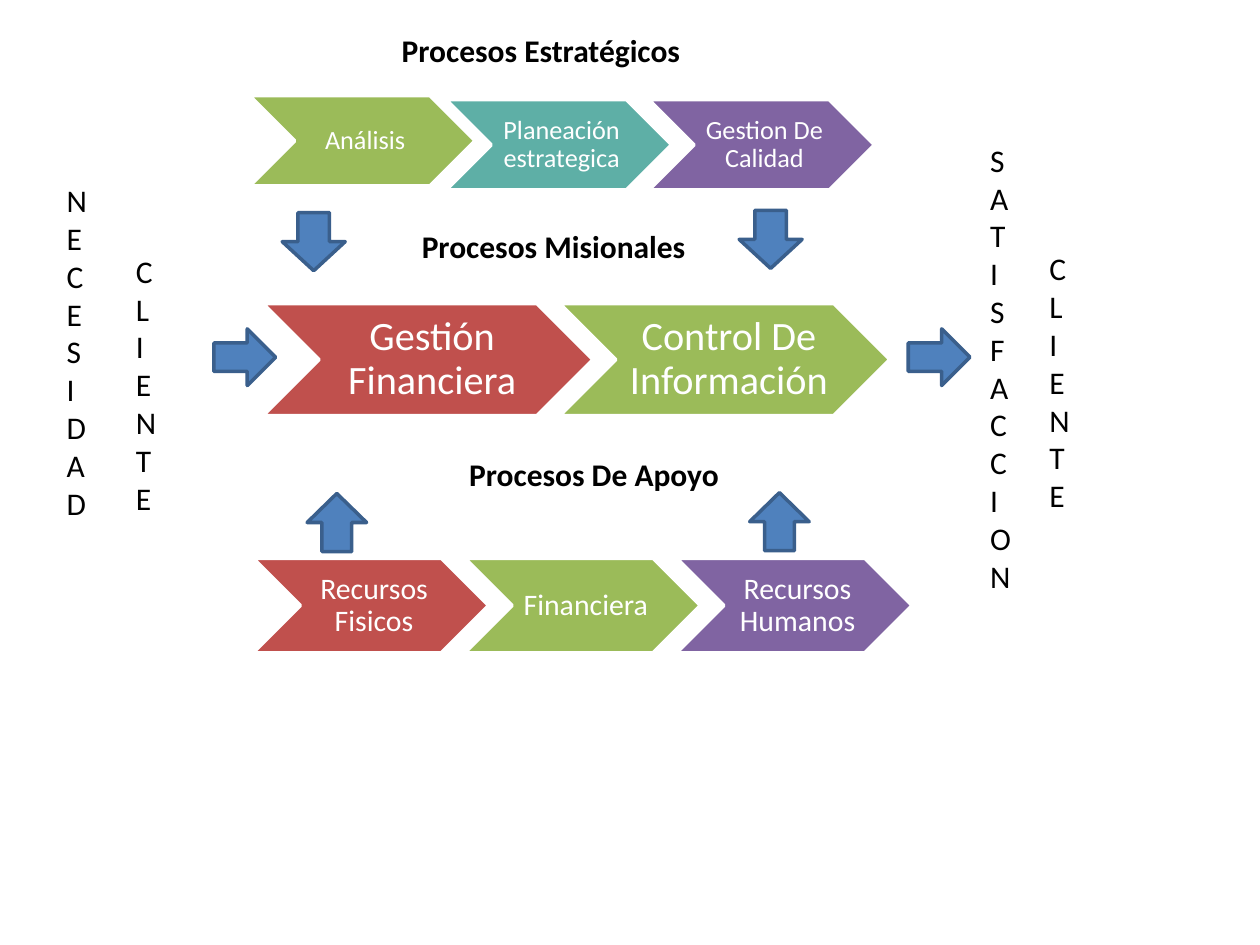
from dataclasses import dataclass

from pptx import Presentation
from pptx.dml.color import RGBColor
from pptx.enum.shapes import MSO_SHAPE as Shape
from pptx.enum.text import MSO_ANCHOR as Anchor, PP_ALIGN as Align
from pptx.util import Pt


@dataclass(frozen=True)
class Theme:
    font: str = "Calibri"
    white: str = "FFFFFF"
    black: str = "000000"
    red: str = "C0504D"
    green: str = "9BBB59"
    teal: str = "5EAFA6"
    purple: str = "8064A2"
    arrow: str = "4F81BD"
    arrow_edge: str = "3A5F8C"
    body: int = 18
    strategic: int = 15
    mission: int = 23
    support: int = 17


class ProcessMap:
    def __init__(self, page, theme):
        self.page = page
        self.theme = theme

    def shape(self, parent, kind, area, fill, edge, weight=2):
        item = parent.shapes.add_shape(kind, *map(Pt, area))
        item.shadow.inherit = False
        item.fill.solid()
        item.fill.fore_color.rgb = RGBColor.from_string(fill)
        item.line.color.rgb = RGBColor.from_string(edge)
        item.line.width = Pt(weight)
        return item

    def set_text(self, box, lines, size, color, bold=False, align=Align.LEFT,
                 spacing=None, after=None):
        frame = box.text_frame
        frame.word_wrap = True
        frame.vertical_anchor = Anchor.TOP
        frame.text = "\n".join(lines)
        for para in frame.paragraphs:
            para.alignment = align
            para.line_spacing = spacing
            para.space_after = after
            para.font.name = self.theme.font
            para.font.size = Pt(size)
            para.font.bold = bold
            para.font.color.rgb = RGBColor.from_string(color)
        return frame

    def text(self, area, lines, bold=False):
        box = self.page.shapes.add_textbox(*map(Pt, area))
        self.set_text(box, lines, self.theme.body, self.theme.black, bold)

    def heading(self, area, label):
        box = self.shape(self.page, Shape.RECTANGLE, area,
                         self.theme.white, self.theme.white, 0.75)
        self.set_text(box, [label], self.theme.body, self.theme.black, True,
                      Align.CENTER, 1.07, Pt(8))

    def arrow(self, kind, area):
        self.shape(self.page, kind, area, self.theme.arrow, self.theme.arrow_edge)

    def chevrons(self, width, height, size, steps):
        group = self.page.shapes.add_group_shape()
        for left, top, label, fill in steps:
            self.shape(group, Shape.CHEVRON, (left, top, width, height),
                       fill, self.theme.white)
            # The label sits between the notch and the point
            area = (left + height / 2, top, width - height, height)
            box = group.shapes.add_textbox(*map(Pt, area))
            frame = self.set_text(box, [label], size, self.theme.white,
                                  align=Align.CENTER, spacing=0.9)
            frame.vertical_anchor = Anchor.MIDDLE
            frame.margin_left = Pt(size * 0.31)
            frame.margin_right = frame.margin_top = frame.margin_bottom = Pt(size * 0.1)


theme = Theme()
deck = Presentation()
deck.slide_width, deck.slide_height = Pt(720), Pt(540)
chart = ProcessMap(deck.slides.add_slide(deck.slide_layouts[6]), theme)

# Strategic processes
chart.chevrons(128.9, 51.6, theme.strategic, [
    (142.6, 54.7, "Análisis", theme.green),
    (254.9, 57, "Planeación estrategica", theme.teal),
    (370.8, 57, "Gestion De Calidad", theme.purple),
])
chart.arrow(Shape.DOWN_ARROW, (161.3, 121.5, 36, 33.2))

# Mission processes
mission = [("Gestión Financiera", theme.red), ("Control De Información", theme.green)]
chart.chevrons(188.6, 64, theme.mission, [
    (150.3 + 169.6 * i, 173.5, *step) for i, step in enumerate(mission)
])
chart.arrow(Shape.DOWN_ARROW, (422.4, 120.2, 36, 33.2))

# Headings
chart.heading((216.7, 124.6, 199.4, 31), "Procesos Misionales")
chart.text((222.5, 14.4, 199.4, 51), ["Procesos Estratégicos"], bold=True)
chart.heading((239, 254.9, 200.9, 31), "Procesos De Apoyo")

# Support processes
support = [("Recursos Fisicos", theme.red), ("Financiera", theme.green),
           ("Recursos Humanos", theme.purple)]
chart.chevrons(134.6, 54, theme.support, [
    (144.7 + 121 * i, 319, *step) for i, step in enumerate(support)
])
for left, top in [(175.5, 282), (428.4, 281.5)]:
    chart.arrow(Shape.UP_ARROW, (left, top, 34, 33.2))

# Vertical words, one letter per line
for word, area in [
    ("SATISFACCION", (558.7, 77, 33.8, 312.5)),
    ("CLIENTE", (592.6, 139, 28, 160)),
    ("NECESIDAD", (31, 100, 33.8, 203.8)),
    ("CLIENTE", (70.6, 140.4, 22.3, 160)),
]:
    chart.text(area, word)

# Input and output arrows
for left in (122.2, 519):
    chart.arrow(Shape.RIGHT_ARROW, (left, 187.9, 35.3, 32.4))

deck.save("out.pptx")
